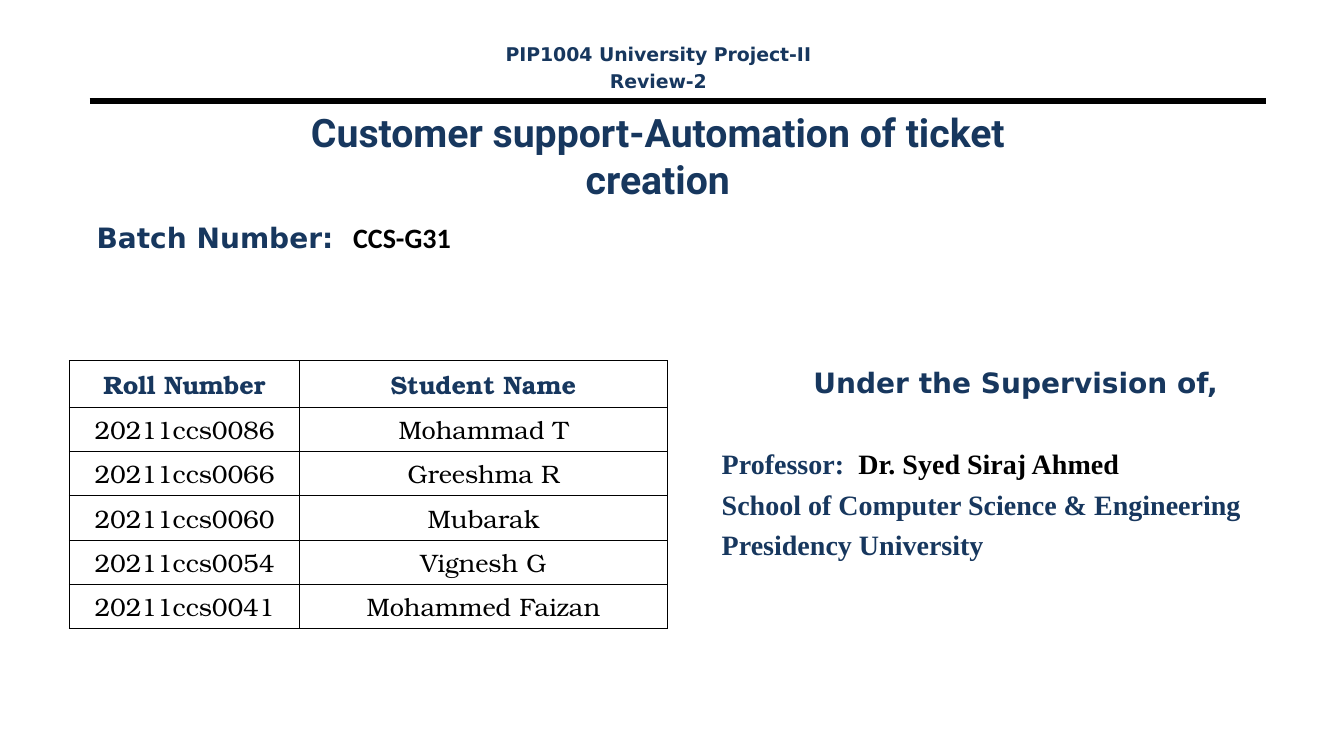
"""Build the opening slide of a university project review."""
from lxml.etree import SubElement
from pptx import Presentation
from pptx.dml.color import RGBColor
from pptx.enum.shapes import MSO_CONNECTOR as Connector
from pptx.enum.text import MSO_ANCHOR as Anchor, PP_ALIGN as Align
from pptx.oxml.ns import qn
from pptx.util import Inches, Pt

COLORS = {"navy": "17375E", "black": "000000", "white": "FFFFFF"}
SANS, SERIF, BOOK = "DejaVu Sans", "Times New Roman", "TeX Gyre Bonum"


def style(span, font, size, color="navy", bold=True):
    span.font.name = font
    span.font.size = Pt(size)
    span.font.bold = bold
    span.font.color.rgb = RGBColor.from_string(COLORS[color])


def add_text(area, lines, anchor=Anchor.TOP):
    frame = page.shapes.add_textbox(*map(Inches, area)).text_frame
    frame.word_wrap = True
    frame.vertical_anchor = anchor
    for index, (align, gap, spans) in enumerate(lines):
        para = frame.add_paragraph() if index else frame.paragraphs[0]
        para.alignment = align
        para.space_before = Pt(gap)
        for text, *look in spans:
            span = para.add_run()
            span.text = text
            style(span, *look)


deck = Presentation()
deck.slide_width, deck.slide_height = Inches(13.33), Inches(7.5)
page = deck.slides.add_slide(deck.slide_layouts[6])

rule = page.shapes.add_connector(
    Connector.STRAIGHT, Inches(0.89), Inches(1), Inches(12.56), Inches(1))
rule.line.color.rgb = RGBColor.from_string(COLORS["black"])
rule.line.width = Pt(4.5)
SubElement(rule._element.spPr, qn("a:effectLst"))

add_text((0.86, 1.17, 11.33, 0.74), [
    (Align.CENTER, 0, [(line, "Roboto", 28)])
    for line in ("Customer support-Automation of ticket", "creation")
], Anchor.MIDDLE)
add_text((0.86, 2.14, 4.34, 0.6), [
    (Align.LEFT, 0, [("Batch Number:  ", SANS, 20),
                     ("CCS-G31", "Calibri", 20, "black")]),
])

students = [
    ("Roll Number", "Student Name"),
    ("20211ccs0086", "Mohammad T"),
    ("20211ccs0066", "Greeshma R"),
    ("20211ccs0060", "Mubarak"),
    ("20211ccs0054", "Vignesh G"),
    ("20211ccs0041", "Mohammed Faizan"),
]
table = page.shapes.add_table(
    len(students), 2, Inches(0.69), Inches(3.58), Inches(5.93), Inches(2.66)).table
for column, width in zip(table.columns, (2.28, 3.65)):
    column.width = Inches(width)
for row_index, student in enumerate(students):
    header = row_index == 0
    table.rows[row_index].height = Inches(0.46 if header else 0.44)
    for cell, text in zip(table.rows[row_index].cells, student):
        cell.text = text
        cell.vertical_anchor = Anchor.MIDDLE
        para = cell.text_frame.paragraphs[0]
        para.alignment = Align.CENTER
        style(para.runs[0], BOOK, 18, "navy" if header else "black", header)
        props = cell._tc.get_or_add_tcPr()
        for side in ("a:lnL", "a:lnR", "a:lnT", "a:lnB"):
            border = SubElement(props, qn(side), w=str(Pt(1)))
            SubElement(SubElement(border, qn("a:solidFill")),
                       qn("a:srgbClr"), val=COLORS["black"])
        cell.fill.solid()
        cell.fill.fore_color.rgb = RGBColor.from_string(COLORS["white"])

add_text((7.06, 3.58, 6.03, 2.66), [
    (Align.CENTER, 0, [("Under the Supervision of,", SANS, 20)]),
    (Align.LEFT, 34, [("Professor:  ", SERIF, 20),
                      ("Dr. Syed Siraj Ahmed", SERIF, 20, "black")]),
    (Align.LEFT, 4.8, [("School of Computer Science & Engineering", SERIF, 20)]),
    (Align.LEFT, 4.8, [("Presidency University", SERIF, 20)]),
])
add_text((4.36, 0.37, 4.34, 0.6), [
    (Align.CENTER, 0, [("PIP1004 University Project-II", SANS, 13.5)]),
    (Align.CENTER, 3.4, [("Review-2", SANS, 13.5)]),
])

deck.save("out.pptx")
